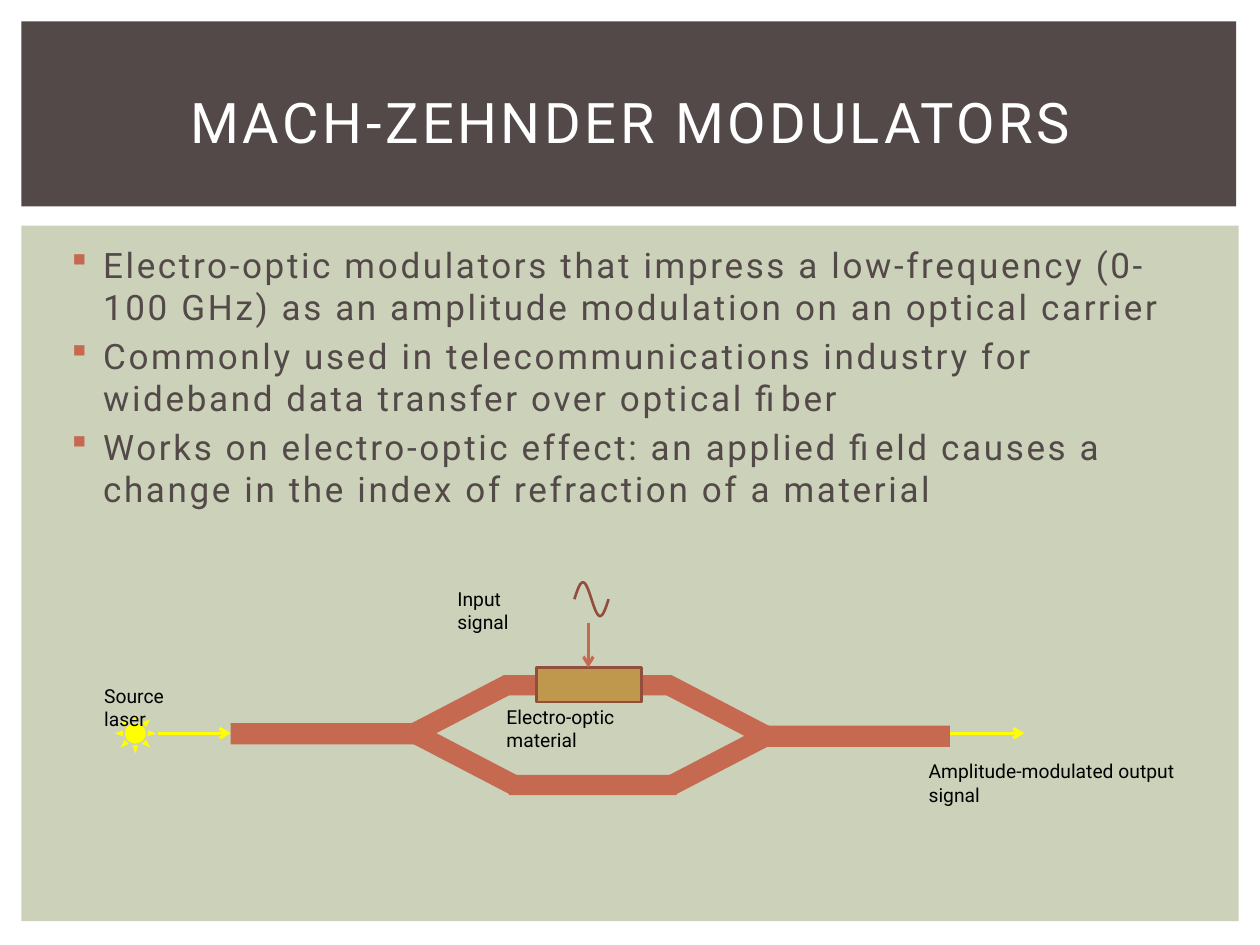
from dataclasses import dataclass
from math import pi, sin

from lxml import etree
from pptx import Presentation
from pptx.dml.color import RGBColor
from pptx.enum.shapes import MSO_CONNECTOR, MSO_SHAPE
from pptx.enum.text import MSO_ANCHOR, MSO_AUTO_SIZE, PP_ALIGN
from pptx.oxml.ns import qn
from pptx.util import Cm, Pt

RECTANGLE = MSO_SHAPE.RECTANGLE
SUN = MSO_SHAPE.SUN
STRAIGHT = MSO_CONNECTOR.STRAIGHT
MIDDLE = MSO_ANCHOR.MIDDLE
TOP = MSO_ANCHOR.TOP
CENTER = PP_ALIGN.CENTER
FIT_SHAPE = MSO_AUTO_SIZE.SHAPE_TO_FIT_TEXT
NO_FIT = MSO_AUTO_SIZE.NONE

FONT = "Roboto"
WHITE = RGBColor(0xFF, 0xFF, 0xFF)
BLACK = RGBColor(0x00, 0x00, 0x00)
BROWN = RGBColor(0x53, 0x49, 0x49)
SAGE = RGBColor(0xCC, 0xD1, 0xB9)
RUST = RGBColor(0xC6, 0x69, 0x51)
DARK_RUST = RGBColor(0x92, 0x4E, 0x3C)
GOLD = RGBColor(0xBF, 0x97, 0x4D)
YELLOW = RGBColor(0xFF, 0xFF, 0x00)


@dataclass
class Block:
    left: float
    top: float
    width: float
    height: float
    fill: RGBColor = RUST
    rotation: float = 0
    outline: RGBColor | None = None
    preset: int = RECTANGLE


@dataclass
class Arrow:
    start: tuple[float, float]
    end: tuple[float, float]
    color: RGBColor


@dataclass
class Label:
    text: str
    left: float
    top: float
    width: float


BRANCH_ANGLE = 27.5
PANELS = [
    Block(0.43, 4.55, 24.54, 14.02, SAGE),
    Block(0.43, 0.43, 24.49, 3.73, BROWN),
]
WAVEGUIDE = [
    Block(4.65, 14.58, 3.81, 0.43),
    Block(8.15, 14.1, 2.24, 0.41, rotation=-BRANCH_ANGLE),
    Block(10.16, 13.61, 3.38, 0.41),
    Block(13.31, 14.1, 2.24, 0.41, rotation=BRANCH_ANGLE),
    Block(15.34, 14.63, 3.81, 0.43),
    Block(13.41, 15.11, 2.24, 0.41, rotation=-BRANCH_ANGLE),
    Block(10.26, 15.62, 3.38, 0.41),
    Block(8.26, 15.11, 2.24, 0.41, rotation=BRANCH_ANGLE),
]
LASER = Block(2.31, 14.38, 0.84, 0.81, YELLOW, preset=SUN)
MATERIAL = Block(10.82, 13.46, 2.11, 0.69, GOLD, outline=DARK_RUST)
ARROWS = [
    Arrow((3.18, 14.78), (4.65, 14.78), YELLOW),
    Arrow((11.86, 12.55), (11.86, 13.46), RUST),
    Arrow((19.15, 14.78), (20.65, 14.78), YELLOW),
]
LABELS = [
    Label("Source laser", 1.85, 13.67, 2.54),
    Label("Electro-optic material", 9.96, 14.1, 4.06),
    Label("Input signal", 8.97, 11.71, 2.44),
    Label("Amplitude-modulated output signal", 18.47, 15.19, 6.5),
]
BULLETS = [
    "Electro-optic modulators that impress a low-frequency (0-100 GHz) "
    "as an amplitude modulation on an optical carrier",
    "Commonly used in telecommunications industry for wideband data transfer over optical fiber",
    "Works on electro-optic effect: an applied field causes a change "
    "in the index of refraction of a material",
]


def format_runs(paragraph, size: float, color: RGBColor, spacing: int = 0) -> None:
    for run in paragraph.runs:
        run.font.name = FONT
        run.font.size = Pt(size)
        run.font.color.rgb = color
        if spacing:
            run.font._element.set("spc", str(spacing))


def draw_block(slide, block: Block) -> None:
    shape = slide.shapes.add_shape(
        block.preset, Cm(block.left), Cm(block.top), Cm(block.width), Cm(block.height)
    )
    shape.shadow.inherit = False
    shape.rotation = block.rotation
    shape.fill.solid()
    shape.fill.fore_color.rgb = block.fill
    if block.outline is None:
        shape.line.fill.background()
    else:
        shape.line.color.rgb = block.outline
        shape.line.width = Pt(1.5)


def draw_arrow(slide, arrow: Arrow) -> None:
    (start_x, start_y), (end_x, end_y) = arrow.start, arrow.end
    connector = slide.shapes.add_connector(
        STRAIGHT, Cm(start_x), Cm(start_y), Cm(end_x), Cm(end_y)
    )
    connector.line.color.rgb = arrow.color
    connector.line.width = Pt(1.75)
    etree.SubElement(connector.line._get_or_add_ln(), qn("a:tailEnd"), type="arrow")
    etree.SubElement(connector._element.spPr, qn("a:effectLst"))


def draw_label(slide, label: Label) -> None:
    box = slide.shapes.add_textbox(
        Cm(label.left), Cm(label.top), Cm(label.width), Cm(0.74)
    )
    frame = box.text_frame
    frame.word_wrap = True
    frame.auto_size = FIT_SHAPE
    frame.text = label.text
    format_runs(frame.paragraphs[0], 11, BLACK)


def draw_sine(slide, left: float, middle: float, width: float, amplitude: float) -> None:
    steps = 32
    points = [
        (Cm(left + width * step / steps), Cm(middle - amplitude * sin(2 * pi * step / steps)))
        for step in range(steps + 1)
    ]
    builder = slide.shapes.build_freeform(*points[0])
    builder.add_line_segments(points[1:], close=False)
    wave = builder.convert_to_shape()
    wave.shadow.inherit = False
    wave.fill.background()
    wave.line.color.rgb = DARK_RUST
    wave.line.width = Pt(1.5)


def add_bullet(paragraph) -> None:
    properties = paragraph._p.get_or_add_pPr()
    properties.set("marL", str(Cm(0.76)))
    properties.set("indent", str(Cm(-0.64)))
    color = etree.SubElement(properties, qn("a:buClr"))
    etree.SubElement(color, qn("a:srgbClr"), val=str(RUST))
    etree.SubElement(properties, qn("a:buFont"), typeface="Wingdings")
    etree.SubElement(properties, qn("a:buChar"), char="§")


def draw_bullets(slide, texts: list[str]) -> None:
    box = slide.shapes.add_textbox(Cm(1.07), Cm(4.78), Cm(23.34), Cm(6.02))
    frame = box.text_frame
    frame.word_wrap = True
    frame.text = "\n".join(texts)
    for index, paragraph in enumerate(frame.paragraphs):
        add_bullet(paragraph)
        if index:
            paragraph.space_before = Pt(4)
        format_runs(paragraph, 20, BROWN, spacing=150)


def place_title(slide, text: str) -> None:
    title = slide.shapes.title
    slide.shapes._spTree.append(title._element)
    title.left, title.top, title.width, title.height = Cm(1.07), Cm(0.99), Cm(23.29), Cm(2.92)
    frame = title.text_frame
    frame.text = text
    frame.auto_size = NO_FIT
    frame.vertical_anchor = MIDDLE
    frame.paragraphs[0].alignment = CENTER
    format_runs(frame.paragraphs[0], 32, WHITE, spacing=200)


def main() -> None:
    presentation = Presentation()
    presentation.slide_width, presentation.slide_height = Cm(25.4), Cm(19.05)
    slide = presentation.slides.add_slide(presentation.slide_layouts[5])
    for panel in PANELS:
        draw_block(slide, panel)
    draw_bullets(slide, BULLETS)
    place_title(slide, "MACH-ZEHNDER MODULATORS")
    for block in [*WAVEGUIDE, LASER, MATERIAL]:
        draw_block(slide, block)
    draw_sine(slide, 11.58, 12.08, 0.69, 0.34)
    for arrow in ARROWS:
        draw_arrow(slide, arrow)
    for label in LABELS:
        draw_label(slide, label)
    presentation.save("out.pptx")


if __name__ == "__main__":
    main()
